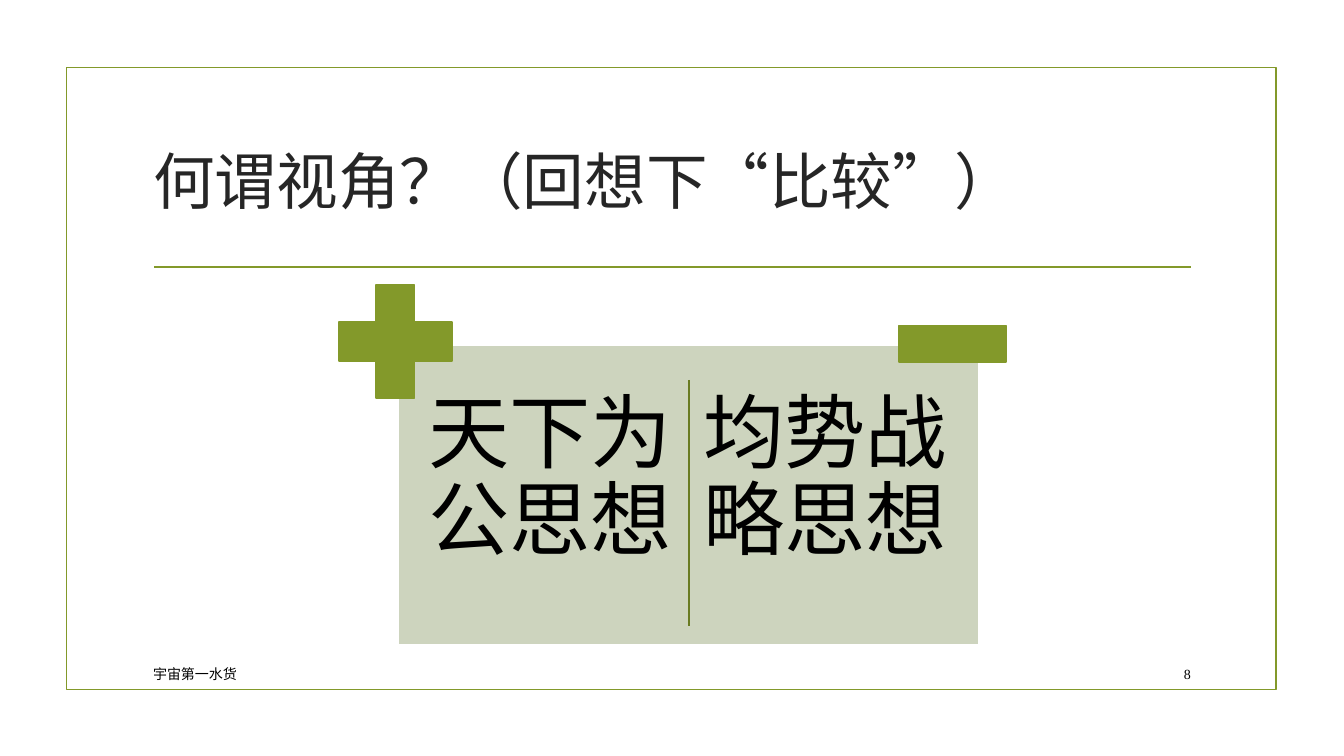
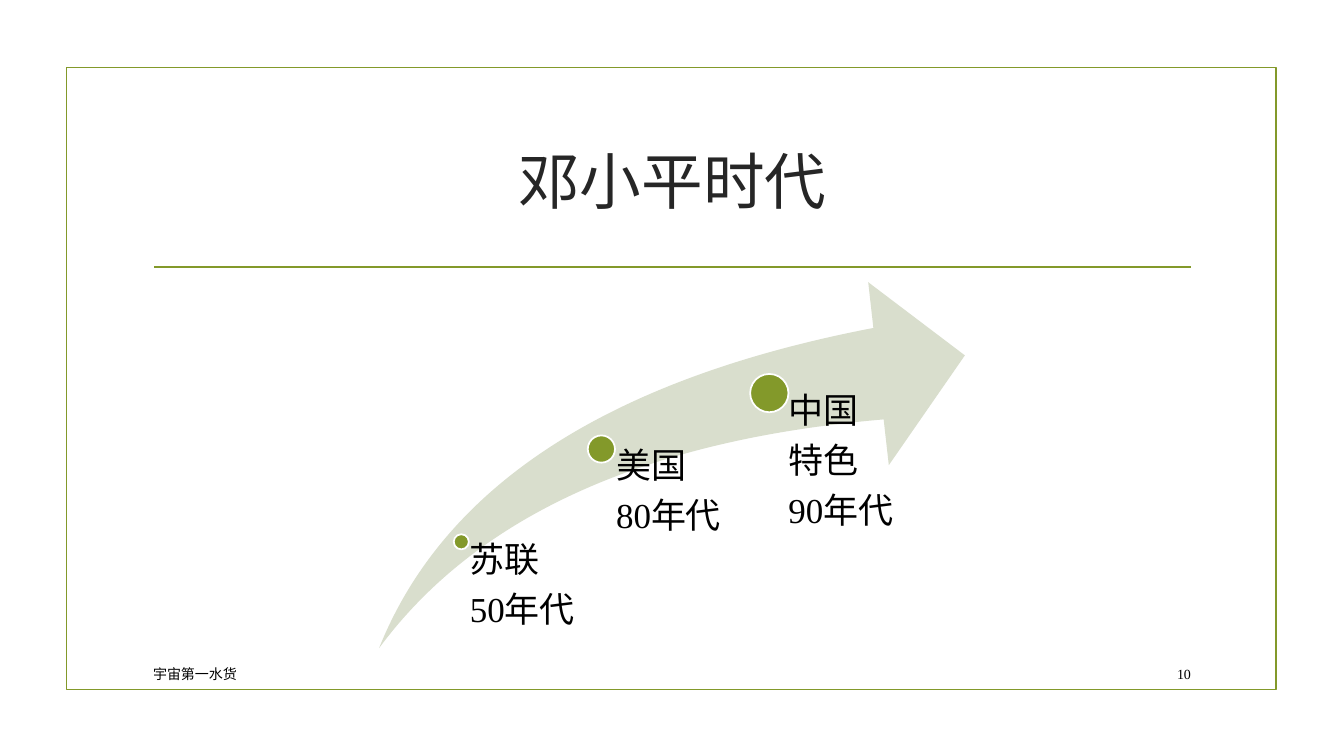
from dataclasses import dataclass
from typing import NamedTuple, Optional

from pptx import Presentation
from pptx.dml.color import RGBColor
from pptx.enum.shapes import MSO_CONNECTOR, MSO_SHAPE
from pptx.enum.text import MSO_ANCHOR, MSO_AUTO_SIZE, PP_ALIGN
from pptx.oxml.ns import qn
from pptx.shapes.autoshape import Shape
from pptx.slide import Slide
from pptx.text.text import TextFrame
from pptx.util import Inches, Pt


@dataclass(frozen=True)
class Theme:
    font: str = "Times New Roman"
    green: RGBColor = RGBColor(0x83, 0x99, 0x2A)
    dark_green: RGBColor = RGBColor(0x69, 0x7B, 0x22)
    panel: RGBColor = RGBColor(0xCD, 0xD4, 0xBE)
    arrow: RGBColor = RGBColor(0xD9, 0xDE, 0xCD)
    white: RGBColor = RGBColor(0xFF, 0xFF, 0xFF)
    black: RGBColor = RGBColor(0x00, 0x00, 0x00)
    title_color: RGBColor = RGBColor(0x26, 0x26, 0x26)
    title_size: float = 44
    comparison_size: float = 58
    milestone_size: float = 25
    footer_size: float = 10
    line_width: float = 1.25
    line_spacing: float = 0.9
    paragraph_gap: float = 0.35


THEME = Theme()
FOOTER = "宇宙第一水货"


class Box(NamedTuple):
    left: float
    top: float
    width: float
    height: float


class Insets(NamedTuple):
    left: float = 0.1
    top: float = 0.05
    right: float = 0.1
    bottom: float = 0.05


class Milestone(NamedTuple):
    dot_left: float
    dot_top: float
    diameter: float
    label: Box
    indent: float
    lines: tuple[str, ...]


COMPARISONS = ("天下为公思想", "均势战略思想")
MILESTONES = (
    Milestone(4.5, 5.3, 0.15, Box(4.58, 5.38, 1.35, 1.05), 0.08, ("苏联", "50年代")),
    Milestone(5.83, 4.32, 0.27, Box(5.97, 4.45, 1.39, 1.97), 0.14, ("美国", "80年代")),
    Milestone(7.44, 3.71, 0.38, Box(7.62, 3.9, 1.39, 2.52), 0.2, ("中国", "特色", "90年代")),
)


def add_block(slide: Slide, kind: MSO_SHAPE, box: Box, fill: Optional[RGBColor] = None,
              line: Optional[RGBColor] = None) -> Shape:
    """Add a preset shape; a missing fill or line colour means none."""
    shape = slide.shapes.add_shape(kind, *map(Inches, box))
    shape.shadow.inherit = False
    if fill is None:
        shape.fill.background()
    else:
        shape.fill.solid()
        shape.fill.fore_color.rgb = fill
    if line is None:
        shape.line.fill.background()
    else:
        shape.line.color.rgb = line
        shape.line.width = Pt(THEME.line_width)
    return shape


def add_line(slide: Slide, start: tuple[float, float], end: tuple[float, float],
             color: RGBColor) -> None:
    connector = slide.shapes.add_connector(
        MSO_CONNECTOR.STRAIGHT, *map(Inches, start + end))
    connector.line.color.rgb = color
    connector.line.width = Pt(THEME.line_width)
    properties = connector._element.spPr
    properties.append(properties.makeelement(qn("a:effectLst"), {}))


def write_text(frame: TextFrame, lines: tuple[str, ...], size: float, color: RGBColor,
               align: PP_ALIGN, anchor: MSO_ANCHOR, insets: Insets = Insets()) -> None:
    frame.word_wrap = True
    frame.auto_size = MSO_AUTO_SIZE.NONE
    frame.vertical_anchor = anchor
    frame.margin_left, frame.margin_top, frame.margin_right, frame.margin_bottom = map(
        Inches, insets)
    frame.text = "\n".join(lines)
    for paragraph in frame.paragraphs:
        paragraph.alignment = align
        paragraph.font.name = THEME.font
        paragraph.font.size = Pt(size)
        paragraph.font.color.rgb = color


def add_label(slide: Slide, box: Box, lines: tuple[str, ...], size: float,
              insets: Insets) -> None:
    """Add diagram text with tight lines and a gap after each paragraph."""
    frame = slide.shapes.add_textbox(*map(Inches, box)).text_frame
    write_text(frame, lines, size, THEME.black, PP_ALIGN.LEFT, MSO_ANCHOR.TOP, insets)
    for paragraph in frame.paragraphs:
        paragraph.line_spacing = THEME.line_spacing
        paragraph.space_after = Pt(size * THEME.paragraph_gap)


def add_footer_text(slide: Slide, box: Box, text: str, align: PP_ALIGN) -> None:
    frame = slide.shapes.add_textbox(*map(Inches, box)).text_frame
    write_text(frame, (text,), THEME.footer_size, THEME.black, align, MSO_ANCHOR.MIDDLE)


def add_framed_slide(presentation: Presentation, title_text: str, number: int,
                     title_align: PP_ALIGN = PP_ALIGN.LEFT) -> Slide:
    """Add a slide with the shared frame, title, rule and footer."""
    slide = presentation.slides.add_slide(presentation.slide_layouts.get_by_name("Title Only"))
    title = slide.shapes.title
    title.left, title.top, title.width, title.height = map(Inches, Box(1.42, 1.07, 10.5, 1.43))
    write_text(title.text_frame, (title_text,), THEME.title_size, THEME.title_color,
               title_align, MSO_ANCHOR.MIDDLE)
    add_block(slide, MSO_SHAPE.RECTANGLE, Box(0.66, 0.67, 12, 6.17), line=THEME.green)
    add_line(slide, (1.53, 2.65), (11.81, 2.65), THEME.green)
    add_footer_text(slide, Box(1.42, 6.53, 7.99, 0.31), FOOTER, PP_ALIGN.LEFT)
    add_footer_text(slide, Box(11.32, 6.53, 0.59, 0.31), str(number), PP_ALIGN.RIGHT)
    return slide


def build_comparison(presentation: Presentation) -> None:
    slide = add_framed_slide(presentation, "何谓视角？（回想下“比较”）", 8)
    add_block(slide, MSO_SHAPE.RECTANGLE, Box(3.95, 3.42, 5.76, 2.98), THEME.panel, THEME.white)
    column = Box(4.13, 3.77, 2.67, 2.55)
    column_pitch = 2.73
    for index, text in enumerate(COMPARISONS):
        box = column._replace(left=column.left + index * column_pitch)
        add_label(slide, box, (text,), THEME.comparison_size, Insets(0.12, 0.12, 0.12, 0.12))
    plus = add_block(slide, MSO_SHAPE.CROSS, Box(3.36, 2.83, 1.12, 1.12),
                     THEME.green, THEME.green)
    plus.adjustments[0] = 0.328
    add_block(slide, MSO_SHAPE.RECTANGLE, Box(8.92, 3.23, 1.06, 0.36), THEME.green, THEME.green)
    add_line(slide, (6.83, 3.77), (6.83, 6.21), THEME.dark_green)


def build_timeline(presentation: Presentation) -> None:
    slide = add_framed_slide(presentation, "邓小平时代", 10, PP_ALIGN.CENTER)
    arrow = add_block(slide, MSO_SHAPE.SWOOSH_ARROW, Box(3.76, 2.8, 5.81, 3.63), THEME.arrow)
    arrow.adjustments[0] = 0.25
    arrow.adjustments[1] = 0.25
    for milestone in MILESTONES:
        dot = Box(milestone.dot_left, milestone.dot_top, milestone.diameter, milestone.diameter)
        add_block(slide, MSO_SHAPE.OVAL, dot, THEME.green, THEME.white)
        add_label(slide, milestone.label, milestone.lines, THEME.milestone_size,
                  Insets(milestone.indent, 0, 0, 0))


def main() -> None:
    presentation = Presentation()
    presentation.slide_width = Inches(13.33)
    presentation.slide_height = Inches(7.5)
    build_comparison(presentation)
    build_timeline(presentation)
    presentation.save("out.pptx")


if __name__ == "__main__":
    main()
